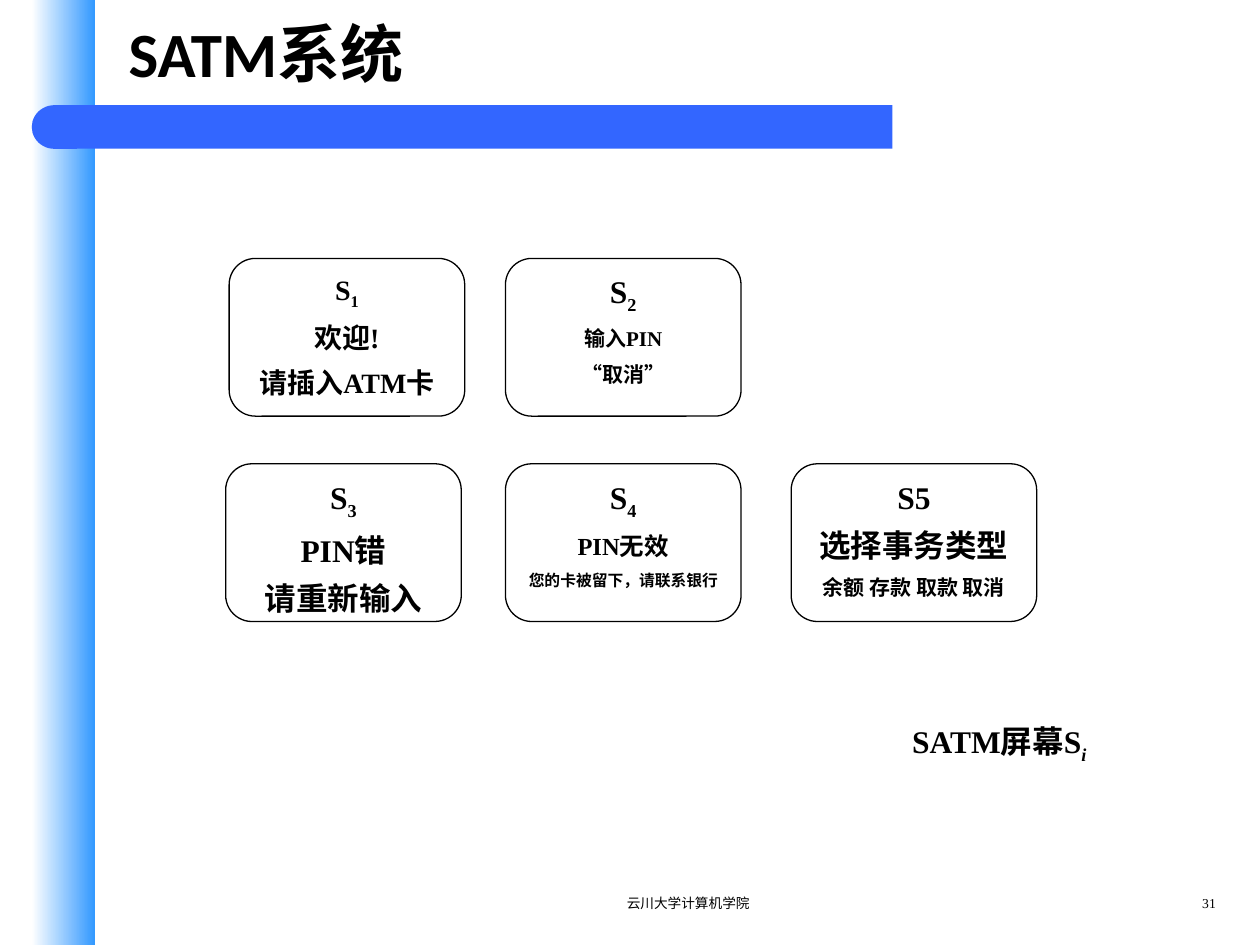
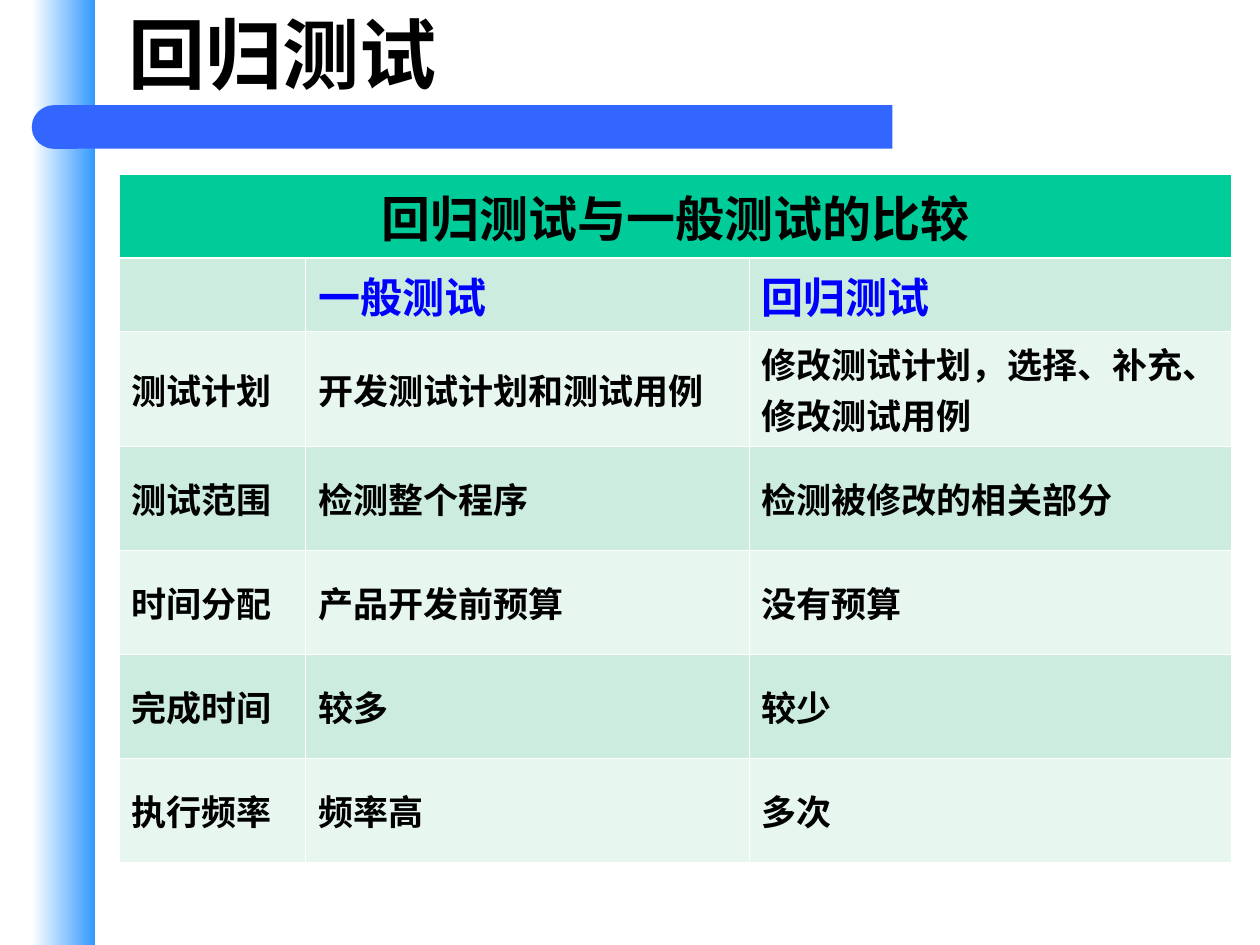
from lxml import etree
from pptx import Presentation
from pptx.dml.color import RGBColor
from pptx.enum.shapes import MSO_SHAPE as Shape
from pptx.enum.text import MSO_ANCHOR as Anchor, MSO_AUTO_SIZE as AutoSize, PP_ALIGN as Align
from pptx.oxml.ns import qn
from pptx.util import Cm, Pt

COLORS = {
    "text": "000000",
    "accent_text": "0000FF",
    "bar": "3366FF",
    "strip_start": "FFFFFF",
    "strip_end": "3399FF",
    "table_title": "00CC99",
    "row_dark": "CBECDE",
    "row_light": "E7F6EF",
    "border": "FFFFFF",
}
TITLE_FONT = "Calibri"
BODY_FONT = "Times New Roman"
TITLE_ONLY_LAYOUT = 5

CARD_WIDTH, CARD_HEIGHT = 4.75, 3.18
TOP_ROW, BOTTOM_ROW = 5.21, 9.35
# left, top, width, then (text, size) lines; "_" starts a subscript
SCREENS = [
    (4.62, TOP_ROW, CARD_WIDTH, [("S_1", 16), ("欢迎!", 16), ("请插入ATM卡", 16)]),
    (10.19, TOP_ROW, CARD_WIDTH, [("S_2", 18), ("输入PIN", 12), ("“取消”", 12)]),
    (4.55, BOTTOM_ROW, CARD_WIDTH, [("S_3", 18), ("PIN错", 18), ("请重新输入", 18)]),
    (10.19, BOTTOM_ROW, CARD_WIDTH,
     [("S_4", 18), ("PIN无效", 14), ("您的卡被留下，请联系银行", 9)]),
    (15.95, BOTTOM_ROW, 4.95,
     [("S5", 18), ("选择事务类型", 18), ("余额 存款 取款 取消", 12)]),
]

COMPARISON_TITLE = "回归测试与一般测试的比较"
COMPARISON_ROWS = [
    ("", "一般测试", "回归测试"),
    ("测试计划", "开发测试计划和测试用例", "修改测试计划，选择、补充、修改测试用例"),
    ("测试范围", "检测整个程序", "检测被修改的相关部分"),
    ("时间分配", "产品开发前预算", "没有预算"),
    ("完成时间", "较多", "较少"),
    ("执行频率", "频率高", "多次"),
]
COLUMN_WIDTHS = [3.76, 8.94, 9.73]
ROW_HEIGHTS = [1.6, 1.27] + [2.1] * 5


def color(name):
    return RGBColor.from_string(COLORS[name])


def format_paragraph(paragraph, size, bold=True, align=Align.LEFT,
                     font_name=BODY_FONT, color_name="text"):
    paragraph.alignment = align
    font = paragraph.font
    font.name, font.size, font.bold = font_name, Pt(size), bold
    font.color.rgb = color(color_name)


def write_with_subscript(paragraph, text, italic=False):
    """Write text, lowering whatever follows an underscore."""
    base, _, subscript = text.partition("_")
    paragraph.add_run().text = base
    if subscript:
        run = paragraph.add_run()
        run.text = subscript
        if italic:
            run.font.italic = True
        run._r.get_or_add_rPr().set("baseline", "-25000")


def add_plain_shape(slide, kind, left, top, width, height):
    shape = slide.shapes.add_shape(kind, Cm(left), Cm(top), Cm(width), Cm(height))
    shape.shadow.inherit = False
    return shape


def add_text_box(slide, left, top, width, height):
    box = slide.shapes.add_textbox(Cm(left), Cm(top), Cm(width), Cm(height))
    box.text_frame.word_wrap = True
    return box.text_frame


def add_side_strip(slide, left, width, height):
    strip = add_plain_shape(slide, Shape.RECTANGLE, left, 0, width, height)
    strip.line.fill.background()
    strip.fill.gradient()
    strip.fill.gradient_angle = 0
    for stop, name in zip(strip.fill.gradient_stops, ("strip_start", "strip_end")):
        stop.color.rgb = color(name)


def add_title_bar(slide, left, top, width, height):
    """Draw a bar with a rounded left end."""
    cap_width = 0.91
    cap = add_plain_shape(slide, Shape.FLOWCHART_DELAY, left, top, cap_width, height)
    cap.rotation = 180
    bar = add_plain_shape(slide, Shape.RECTANGLE, left + cap_width - 0.02, top,
                          width - cap_width + 0.02, height)
    for part in (cap, bar):
        part.fill.solid()
        part.fill.fore_color.rgb = color("bar")
        part.line.fill.background()


def add_titled_slide(presentation, title_text, title_size):
    slide = presentation.slides.add_slide(presentation.slide_layouts[TITLE_ONLY_LAYOUT])
    add_side_strip(slide, 0.64, 1.27, 19.05)
    add_title_bar(slide, 0.64, 2.12, 17.35, 0.88)
    title = slide.shapes.title
    title.left, title.top, title.width, title.height = Cm(2.34), Cm(0), Cm(22.02), Cm(2.12)
    frame = title.text_frame
    frame.text = title_text
    frame.auto_size = AutoSize.NONE
    frame.vertical_anchor = Anchor.MIDDLE
    format_paragraph(frame.paragraphs[0], title_size, font_name=TITLE_FONT)
    return slide


def add_footer(slide, top, organisation, number):
    for text, left, width, align in ((organisation, 9.53, 8.69, Align.CENTER),
                                     (number, 22.86, 1.9, Align.RIGHT)):
        paragraph = add_text_box(slide, left, top, width, 0.64).paragraphs[0]
        paragraph.text = text
        paragraph.line_spacing = 0.8
        format_paragraph(paragraph, 7.8, bold=False, align=align)


def add_screen_card(slide, left, top, width, lines):
    card = add_plain_shape(slide, Shape.ROUNDED_RECTANGLE, left, top, width, CARD_HEIGHT)
    card.fill.background()
    card.line.color.rgb = color("text")
    card.line.width = Pt(0.75)
    frame = card.text_frame
    frame.word_wrap = True
    frame.vertical_anchor = Anchor.TOP
    for index, (text, size) in enumerate(lines):
        paragraph = frame.add_paragraph() if index else frame.paragraphs[0]
        write_with_subscript(paragraph, text)
        paragraph.space_before = Pt(6)
        format_paragraph(paragraph, size, align=Align.CENTER)


def add_screens_caption(slide, left, top):
    paragraph = add_text_box(slide, left, top, 5.16, 1.12).paragraphs[0]
    write_with_subscript(paragraph, "SATM屏幕S_i", italic=True)
    format_paragraph(paragraph, 18)


def set_cell_borders(cell, widths):
    """Set border widths in points, in the order left, right, top, bottom."""
    properties = cell._tc.get_or_add_tcPr()
    for index, (side, width) in enumerate(zip("LRTB", widths)):
        line = etree.Element(qn(f"a:ln{side}"), w=str(Pt(width)))
        fill = etree.SubElement(line, qn("a:solidFill"))
        etree.SubElement(fill, qn("a:srgbClr"), val=COLORS["border"])
        properties.insert(index, line)


def format_cell(cell, text, fill_name, size, anchor=Anchor.MIDDLE, **font_options):
    cell.text = text
    cell.vertical_anchor = anchor
    cell.fill.solid()
    cell.fill.fore_color.rgb = color(fill_name)
    format_paragraph(cell.text_frame.paragraphs[0], size, **font_options)


def add_comparison_table(slide, left, top):
    table = slide.shapes.add_table(
        len(ROW_HEIGHTS), len(COLUMN_WIDTHS), Cm(left), Cm(top),
        Cm(sum(COLUMN_WIDTHS)), Cm(sum(ROW_HEIGHTS))).table
    table.first_row = table.horz_banding = False
    for column, width in zip(table.columns, COLUMN_WIDTHS):
        column.width = Cm(width)
    for row, height in zip(table.rows, ROW_HEIGHTS):
        row.height = Cm(height)

    thin, thick = 0.45, 1.47
    for row_index, row in enumerate(table.rows):
        for cell in row.cells:
            set_cell_borders(cell, (thin, thin, thick if row_index == 1 else thin,
                                    thick if row_index == 0 else thin))

    table.cell(0, 0).merge(table.cell(0, len(COLUMN_WIDTHS) - 1))
    format_cell(table.cell(0, 0), COMPARISON_TITLE, "table_title", 28,
                anchor=Anchor.TOP, align=Align.CENTER)
    for row_index, texts in enumerate(COMPARISON_ROWS, start=1):
        fill_name = "row_dark" if row_index % 2 else "row_light"
        for column_index, text in enumerate(texts):
            cell = table.cell(row_index, column_index)
            if row_index == 1:
                format_cell(cell, text, fill_name, 24, anchor=Anchor.TOP,
                            color_name="accent_text")
            else:
                format_cell(cell, text, fill_name, 20)


def build_screens_slide(presentation):
    slide = add_titled_slide(presentation, "SATM系统", 36)
    add_footer(slide, 17.98, "云川大学计算机学院", "31")
    for screen in SCREENS:
        add_screen_card(slide, *screen)
    add_screens_caption(slide, 18.14, 14.43)


def build_comparison_slide(presentation):
    slide = add_titled_slide(presentation, "回归测试", 44)
    add_comparison_table(slide, 2.4, 3.52)


def main():
    presentation = Presentation()
    presentation.slide_width, presentation.slide_height = Cm(25.4), Cm(19.05)
    build_screens_slide(presentation)
    build_comparison_slide(presentation)
    presentation.save("out.pptx")


if __name__ == "__main__":
    main()
